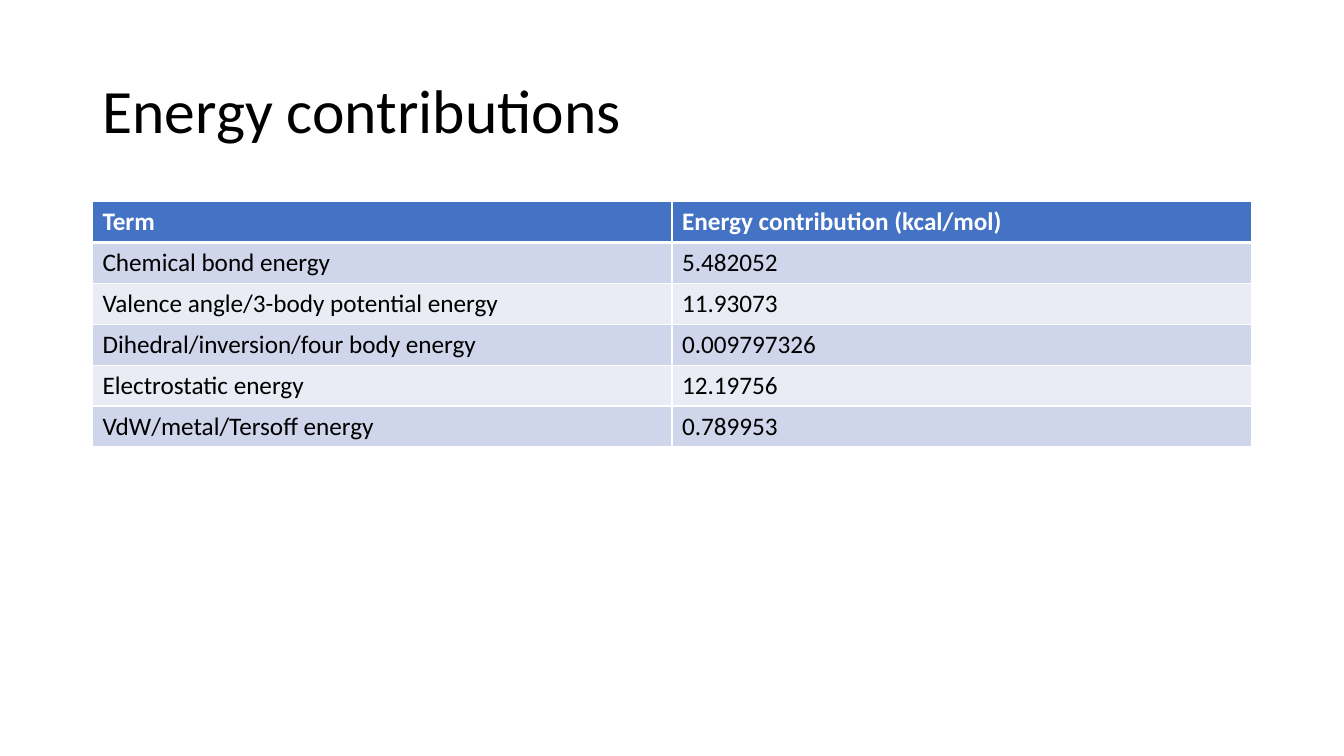
import dataclasses

import lxml.etree
import pptx
import pptx.dml.color
import pptx.enum.text
import pptx.oxml.ns
import pptx.slide
import pptx.table
import pptx.util

FONT = "Calibri"
BLACK = pptx.dml.color.RGBColor(0x00, 0x00, 0x00)
WHITE = pptx.dml.color.RGBColor(0xFF, 0xFF, 0xFF)
HEADER_BLUE = pptx.dml.color.RGBColor(0x44, 0x72, 0xC4)
DARK_BAND = pptx.dml.color.RGBColor(0xCF, 0xD5, 0xEA)
LIGHT_BAND = pptx.dml.color.RGBColor(0xE9, 0xEB, 0xF5)

LEFT = pptx.util.Cm(2.33)
WIDTH = pptx.util.Cm(29.21)
TABLE_TOP = pptx.util.Cm(5.08)
ROW_HEIGHT = pptx.util.Cm(1.03)
THIN = pptx.util.Pt(1)
THICK = pptx.util.Pt(3)


@dataclasses.dataclass(frozen=True)
class EnergyRow:
    """One table row: an energy term and its contribution."""

    term: str
    contribution: str


HEADER = EnergyRow("Term", "Energy contribution (kcal/mol)")
ENERGIES = [
    EnergyRow("Chemical bond energy", "5.482052"),
    EnergyRow("Valence angle/3-body potential energy", "11.93073"),
    EnergyRow("Dihedral/inversion/four body energy", "0.009797326"),
    EnergyRow("Electrostatic energy", "12.19756"),
    EnergyRow("VdW/metal/Tersoff energy", "0.789953"),
]


def add_title(slide: pptx.slide.Slide, text: str) -> None:
    """Place and format the title placeholder."""
    title = slide.shapes.title
    title.left, title.top = LEFT, pptx.util.Cm(1.01)
    title.width, title.height = WIDTH, pptx.util.Cm(3.68)
    title.text_frame.text = text
    title.text_frame.vertical_anchor = pptx.enum.text.MSO_ANCHOR.MIDDLE
    paragraph = title.text_frame.paragraphs[0]
    paragraph.alignment = pptx.enum.text.PP_ALIGN.LEFT
    paragraph.line_spacing = 0.9
    paragraph.font.name = FONT
    paragraph.font.size = pptx.util.Pt(44)
    paragraph.font.color.rgb = BLACK


def set_borders(cell: pptx.table._Cell, top: int, bottom: int) -> None:
    """Give a cell white borders; only top and bottom widths vary."""
    properties = cell._tc.get_or_add_tcPr()
    widths = {"a:lnL": THIN, "a:lnR": THIN, "a:lnT": top, "a:lnB": bottom}
    for tag, width in widths.items():
        line = lxml.etree.SubElement(properties, pptx.oxml.ns.qn(tag), w=str(int(width)))
        fill = lxml.etree.SubElement(line, pptx.oxml.ns.qn("a:solidFill"))
        lxml.etree.SubElement(fill, pptx.oxml.ns.qn("a:srgbClr"), val=str(WHITE))


def format_cell(cell: pptx.table._Cell, text: str, row_index: int) -> None:
    """Write a cell and style it as header or banded body."""
    is_header = row_index == 0
    set_borders(
        cell,
        top=THICK if row_index == 1 else THIN,
        bottom=THICK if is_header else THIN,
    )
    band = DARK_BAND if row_index % 2 else LIGHT_BAND
    cell.fill.solid()
    cell.fill.fore_color.rgb = HEADER_BLUE if is_header else band
    cell.text = text
    paragraph = cell.text_frame.paragraphs[0]
    paragraph.font.name = FONT
    paragraph.font.size = pptx.util.Pt(18)
    paragraph.font.bold = is_header
    paragraph.font.color.rgb = WHITE if is_header else BLACK


def add_energy_table(slide: pptx.slide.Slide, rows: list[EnergyRow]) -> None:
    """Add the two-column table of energy contributions."""
    frame = slide.shapes.add_table(
        len(rows), 2, LEFT, TABLE_TOP, WIDTH, ROW_HEIGHT * len(rows)
    )
    for row_index, row in enumerate(rows):
        for column_index, text in enumerate(dataclasses.astuple(row)):
            format_cell(frame.table.cell(row_index, column_index), text, row_index)


def main() -> None:
    """Build and save the presentation."""
    presentation = pptx.Presentation()
    presentation.slide_width = pptx.util.Cm(33.87)
    presentation.slide_height = pptx.util.Cm(19.05)
    title_only = presentation.slide_layouts.get_by_name("Title Only")
    slide = presentation.slides.add_slide(title_only)
    add_title(slide, "Energy contributions")
    add_energy_table(slide, [HEADER, *ENERGIES])
    presentation.save("out.pptx")


main()
